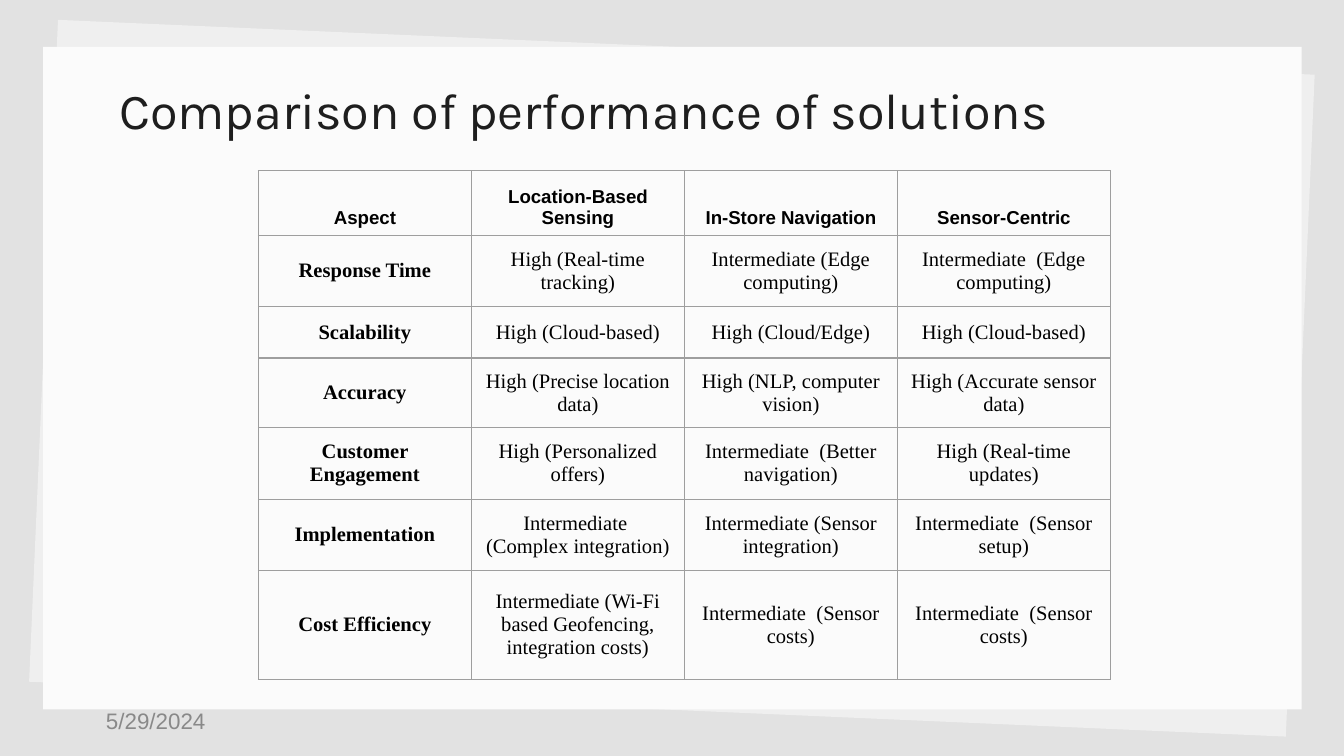
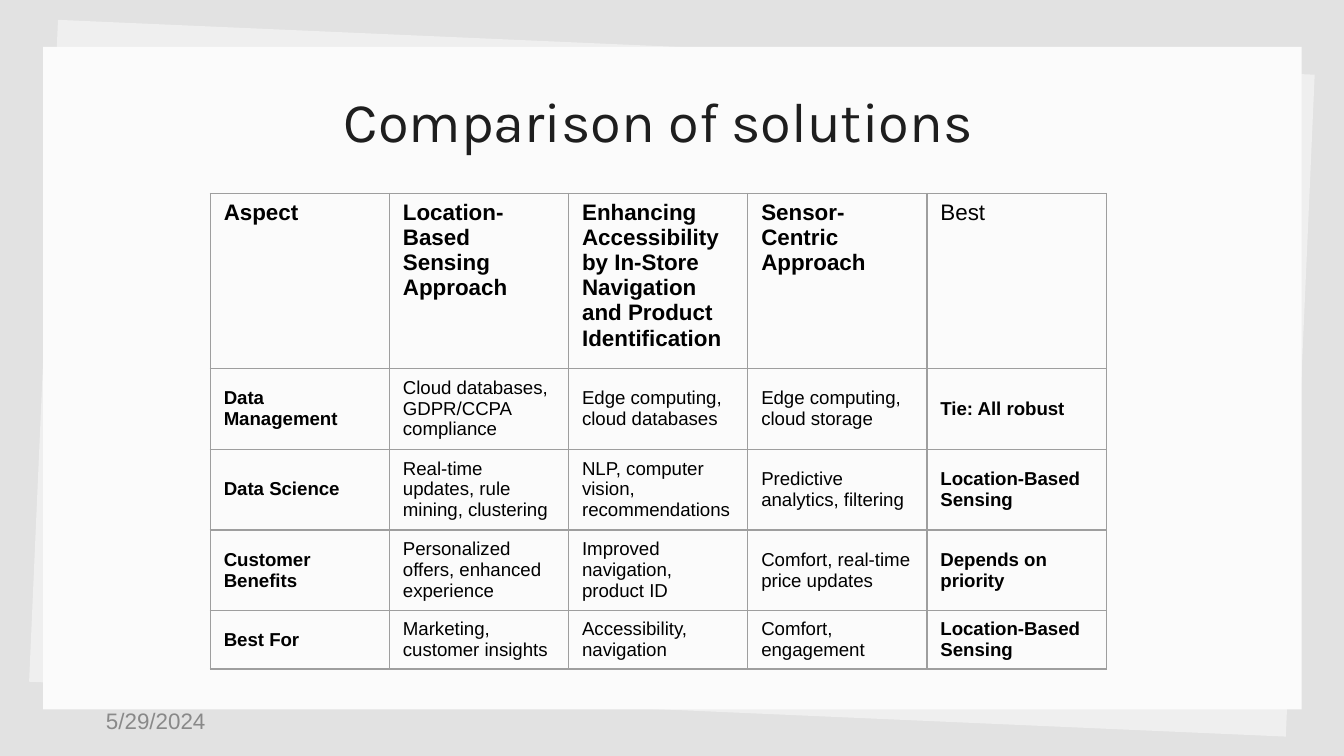
import dataclasses
import typing

import lxml.etree
import pptx
import pptx.dml.color
import pptx.enum.shapes
import pptx.enum.text
import pptx.oxml.ns
import pptx.util

ALIGN = pptx.enum.text.PP_ALIGN
ANCHOR = pptx.enum.text.MSO_ANCHOR

# The page is a fine grid: 100 columns and 100 rows to the inch.
COLUMNS, ROWS = 1000, 562.5
UNIT = pptx.util.Inches(0.01)


def grid(count: float) -> pptx.util.Emu:
    return pptx.util.Emu(round(count * UNIT))


@dataclasses.dataclass(frozen=True)
class Font:
    name: str
    size: float
    color: str


@dataclasses.dataclass(frozen=True)
class Theme:
    backdrop: str = "E2E2E2"
    under_sheet: str = "EFEFEF"
    sheet: str = "FBFBFB"
    border: str = "9E9E9E"
    border_width: float = 0.75
    wide_title: Font = Font("Karla", 27, "1E1E1E")
    centred_title: Font = Font("Karla", 30, "1E1E1E")
    footer: Font = Font("Arial", 12, "898989")
    small: Font = Font("Arial", 10, "000000")
    heading: Font = Font("Arial", 12, "000000")
    serif: Font = Font("Times New Roman", 11, "000000")


THEME = Theme()


class Area(typing.NamedTuple):
    """A rectangle in grid columns and rows."""
    left: float
    top: float
    width: float
    height: float

    def lengths(self) -> list[pptx.util.Emu]:
        return [grid(side) for side in self]


class Sheet(typing.NamedTuple):
    area: Area
    color: str
    rotation: float


class Label(typing.NamedTuple):
    text: str
    area: Area
    font: Font
    align: ALIGN = ALIGN.LEFT
    anchor: ANCHOR = ANCHOR.TOP
    inset: float = 10


@dataclasses.dataclass(frozen=True)
class Comparison:
    """A table whose rows grow when their text needs more height."""
    left: float
    top: float
    width: float
    row_heights: list[float]
    rows: list[list[str]]
    head_font: Font
    body_font: Font
    align: ALIGN
    head_anchor: ANCHOR
    bold_columns: set[int]
    plain_headings: set[int]

    def area(self) -> Area:
        return Area(self.left, self.top, self.width, sum(self.row_heights))

    def is_bold(self, row: int, column: int) -> bool:
        if row == 0:
            return column not in self.plain_headings
        return column in self.bold_columns


class Page(typing.NamedTuple):
    title: Label
    comparison: Comparison


SHEETS = [
    Sheet(Area(32, 35, 936, 493), THEME.under_sheet, 2.5),
    Sheet(Area(32, 35, 936.5, 493), THEME.sheet, 0),
]
DATE = Label("5/29/2024", Area(69, 521.5, 225, 30), THEME.footer,
             anchor=ANCHOR.MIDDLE, inset=5)

PERFORMANCE = Comparison(
    left=192.3,
    top=127,
    width=634,
    row_heights=[48, 53, 38.5, 51.5, 53.5, 53, 81],
    rows=[
        ["Aspect", "Location-Based Sensing", "In-Store Navigation", "Sensor-Centric"],
        ["Response Time", "High (Real-time tracking)",
         "Intermediate (Edge computing)", "Intermediate  (Edge computing)"],
        ["Scalability", "High (Cloud-based)", "High (Cloud/Edge)", "High (Cloud-based)"],
        ["Accuracy", "High (Precise location data)",
         "High (NLP, computer vision)", "High (Accurate sensor data)"],
        ["Customer Engagement", "High (Personalized offers)",
         "Intermediate  (Better navigation)", "High (Real-time updates)"],
        ["Implementation", "Intermediate  (Complex integration)",
         "Intermediate (Sensor integration)", "Intermediate  (Sensor setup)"],
        ["Cost Efficiency", "Intermediate (Wi-Fi based Geofencing, integration costs)",
         "Intermediate  (Sensor costs)", "Intermediate  (Sensor costs)"],
    ],
    head_font=THEME.small,
    body_font=THEME.serif,
    align=ALIGN.CENTER,
    head_anchor=ANCHOR.BOTTOM,
    bold_columns={0},
    plain_headings=set(),
)

SOLUTIONS = Comparison(
    left=156.5,
    top=144,
    width=666.7,
    row_heights=[41] * 5,
    rows=[
        ["Aspect", "Location-Based Sensing Approach",
         "Enhancing Accessibility by In-Store Navigation and Product Identification",
         "Sensor-Centric Approach", "Best"],
        ["Data Management", "Cloud databases, GDPR/CCPA compliance",
         "Edge computing, cloud databases", "Edge computing, cloud storage",
         "Tie: All robust"],
        ["Data Science", "Real-time updates, rule mining, clustering",
         "NLP, computer vision, recommendations", "Predictive analytics, filtering",
         "Location-Based Sensing"],
        ["Customer Benefits", "Personalized offers, enhanced experience",
         "Improved navigation, product ID", "Comfort, real-time price updates",
         "Depends on priority"],
        ["Best For", "Marketing, customer insights", "Accessibility, navigation",
         "Comfort, engagement", "Location-Based Sensing"],
    ],
    head_font=THEME.heading,
    body_font=THEME.small,
    align=ALIGN.LEFT,
    head_anchor=ANCHOR.TOP,
    bold_columns={0, 4},
    plain_headings={4},
)

PAGES = [
    Page(Label("Comparison of performance of solutions", Area(79, 49, 843, 63),
               THEME.wide_title), PERFORMANCE),
    Page(Label("Comparison of solutions", Area(68.5, 54.5, 843, 66),
               THEME.centred_title, ALIGN.CENTER), SOLUTIONS),
]


def rgb(color: str) -> pptx.dml.color.RGBColor:
    return pptx.dml.color.RGBColor.from_string(color)


def write(frame, text: str, font: Font, align: ALIGN, bold: bool = False) -> None:
    frame.text = text
    para = frame.paragraphs[0]
    para.alignment = align
    for span in para.runs:
        span.font.name = font.name
        span.font.size = pptx.util.Pt(font.size)
        span.font.color.rgb = rgb(font.color)
        span.font.bold = bold


def draw_sheet(slide, sheet: Sheet) -> None:
    box = slide.shapes.add_shape(
        pptx.enum.shapes.MSO_SHAPE.RECTANGLE, *sheet.area.lengths())
    box.rotation = sheet.rotation
    box.shadow.inherit = False
    box.fill.solid()
    box.fill.fore_color.rgb = rgb(sheet.color)
    box.line.fill.background()


def draw_label(slide, label: Label) -> None:
    frame = slide.shapes.add_textbox(*label.area.lengths()).text_frame
    frame.word_wrap = True
    frame.vertical_anchor = label.anchor
    frame.margin_left = frame.margin_right = grid(10)
    frame.margin_top = frame.margin_bottom = grid(label.inset)
    write(frame, label.text, label.font, label.align)


def add_borders(cell) -> None:
    """Line all four sides; the schema wants the lines before the fill."""
    qn = pptx.oxml.ns.qn
    properties = cell._tc.get_or_add_tcPr()
    width = str(int(pptx.util.Pt(THEME.border_width)))
    for position, side in enumerate(("a:lnL", "a:lnR", "a:lnT", "a:lnB")):
        line = lxml.etree.SubElement(properties, qn(side), w=width)
        fill = lxml.etree.SubElement(line, qn("a:solidFill"))
        lxml.etree.SubElement(fill, qn("a:srgbClr"), val=THEME.border)
        properties.insert(position, line)


def draw_comparison(slide, comparison: Comparison) -> None:
    rows = comparison.rows
    column_count = len(rows[0])
    table = slide.shapes.add_table(
        len(rows), column_count, *comparison.area().lengths()).table
    table.first_row = table.horz_banding = False
    for column in table.columns:
        column.width = grid(comparison.width / column_count)
    for row, height in zip(table.rows, comparison.row_heights):
        row.height = grid(height)

    for row_index, texts in enumerate(rows):
        is_head = row_index == 0
        font = comparison.head_font if is_head else comparison.body_font
        for column_index, text in enumerate(texts):
            cell = table.cell(row_index, column_index)
            cell.vertical_anchor = comparison.head_anchor if is_head else ANCHOR.MIDDLE
            cell.fill.background()
            add_borders(cell)
            write(cell.text_frame, text, font, comparison.align,
                  comparison.is_bold(row_index, column_index))


def main() -> None:
    deck = pptx.Presentation()
    deck.slide_width, deck.slide_height = grid(COLUMNS), grid(ROWS)
    backdrop = deck.slide_master.background.fill
    backdrop.solid()
    backdrop.fore_color.rgb = rgb(THEME.backdrop)
    for page in PAGES:
        slide = deck.slides.add_slide(deck.slide_layouts[6])
        for sheet in SHEETS:
            draw_sheet(slide, sheet)
        draw_label(slide, page.title)
        draw_label(slide, DATE)
        draw_comparison(slide, page.comparison)
    deck.save("out.pptx")


if __name__ == "__main__":
    main()
